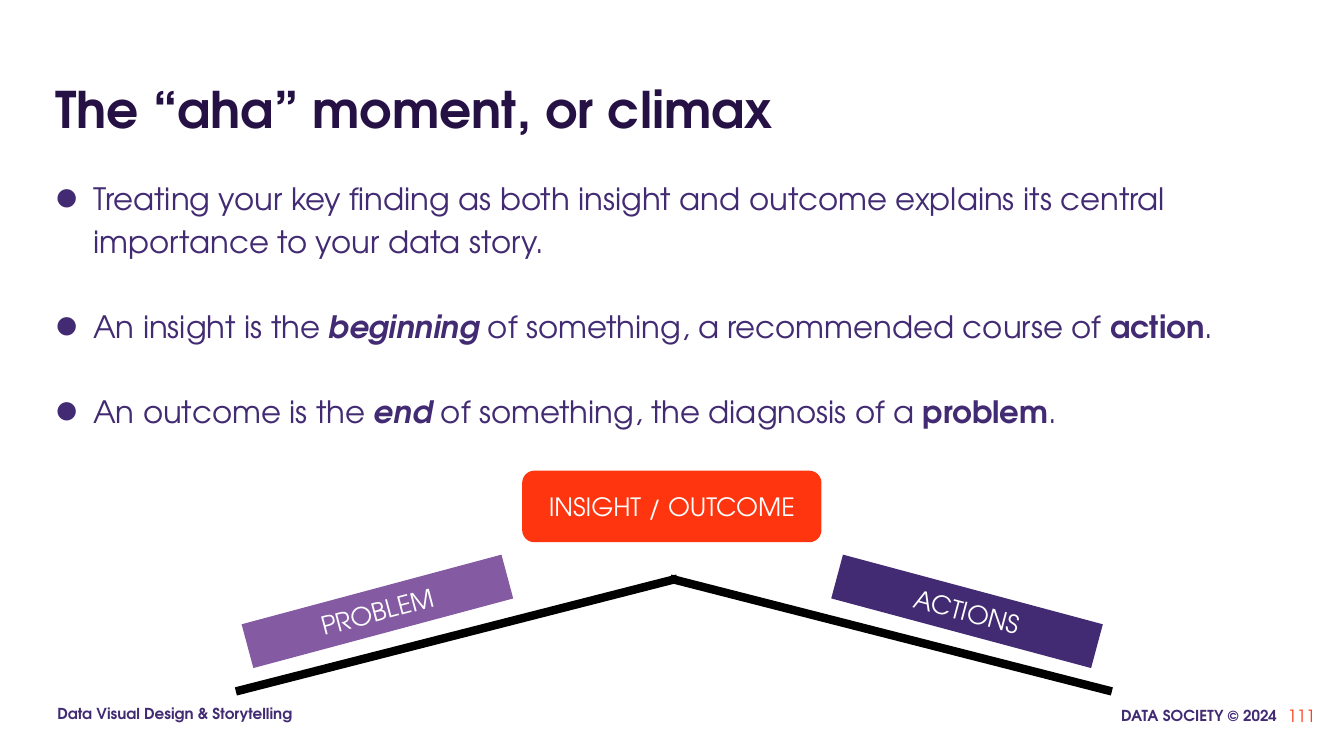
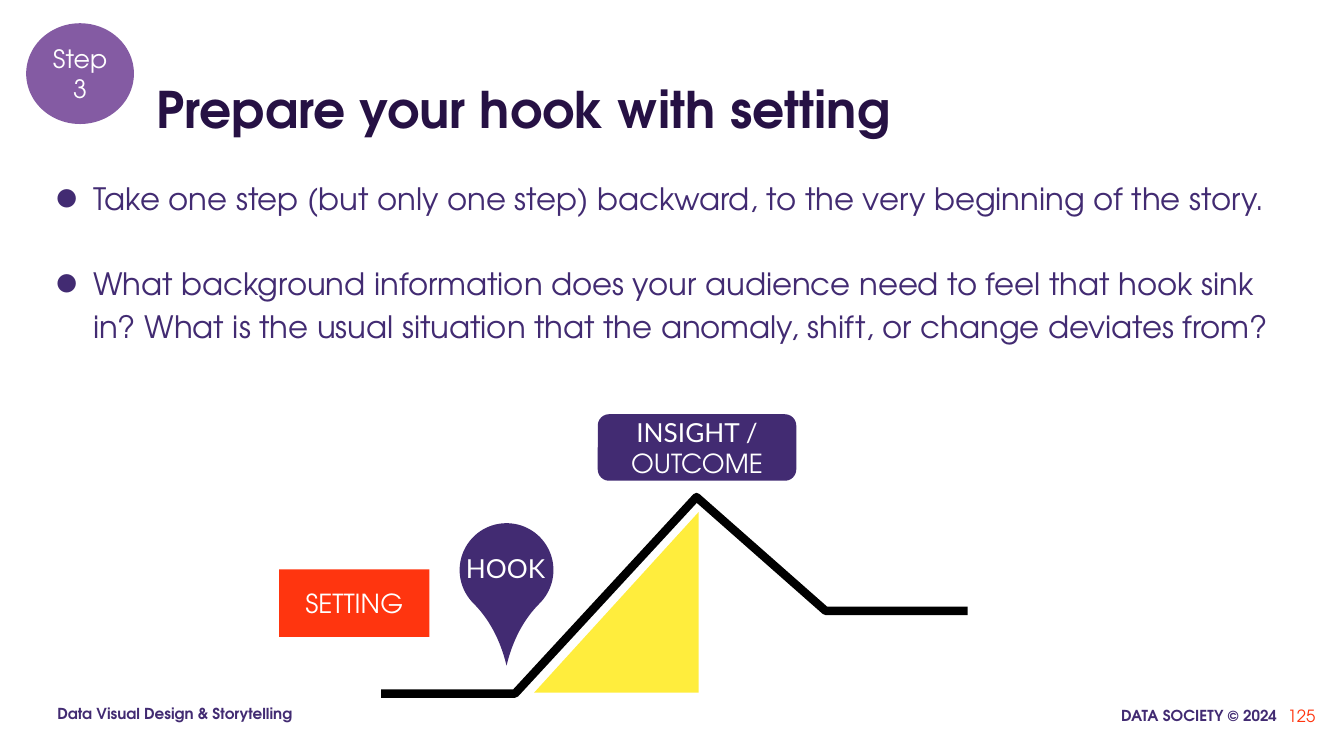
from lxml.etree import SubElement
from pptx import Presentation
from pptx.dml.color import RGBColor
from pptx.enum.shapes import MSO_CONNECTOR, MSO_SHAPE
from pptx.enum.text import MSO_ANCHOR, MSO_AUTO_SIZE, PP_ALIGN
from pptx.oxml.ns import qn
from pptx.util import Pt

FONT = "TeX Gyre Adventor"
ALT_FONT = "Lato"
INK = "261144"
INDIGO = "422B72"
VIOLET = "845BA3"
RED = "FF350F"
YELLOW = "FFED3D"
WHITE = "FFFFFF"
BLACK = "000000"


def rgb(value):
    return RGBColor.from_string(value)


def add_run(p, text, size=18, color=WHITE, bold=False, italic=False, font=FONT):
    r = p.add_run()
    r.text = text
    r.font.name = font
    r.font.size = Pt(size)
    r.font.bold = bold
    r.font.italic = italic
    r.font.color.rgb = rgb(color)


def set_frame(tf, anchor=MSO_ANCHOR.TOP, inset=(7.2, 3.6)):
    tf.word_wrap = True
    tf.auto_size = MSO_AUTO_SIZE.NONE
    tf.vertical_anchor = anchor
    tf.margin_left = tf.margin_right = Pt(inset[0])
    tf.margin_top = tf.margin_bottom = Pt(inset[1])


class Deck:
    margin = 32.4
    width = 894.2
    label_inset = (9.4, 9.4)

    def __init__(self):
        self.prs = Presentation()
        self.prs.slide_width, self.prs.slide_height = Pt(960), Pt(540)

    def slide(self, title, number, indent=0):
        self.s = self.prs.slides.add_slide(self.prs.slide_layouts[5])
        sp = self.s.shapes.title
        sp.left, sp.top = Pt(self.margin + indent), Pt(41.8)
        sp.width, sp.height = Pt(self.width - indent), Pt(60.5)
        set_frame(sp.text_frame, MSO_ANCHOR.BOTTOM)
        p = sp.text_frame.paragraphs[0]
        p.alignment = PP_ALIGN.LEFT
        add_run(p, title, size=36, color=INK, bold=True)
        footer = dict(size=10.8, color=INDIGO, bold=True)
        self.text(761, 496.1, 159.8, 30.2, "DATA SOCIETY © 2024",
                  align=PP_ALIGN.RIGHT, inset=(8.6, 8.6), **footer)
        self.text(self.margin, 494.6, 197.3, 30.2, "Data Visual Design & Storytelling",
                  align=PP_ALIGN.LEFT, inset=(8.6, 8.6), **footer)
        self.text(889.2, 496.1, 57.6, 30.2, number, align=PP_ALIGN.RIGHT,
                  anchor=MSO_ANCHOR.MIDDLE, size=12, color=RED)

    def box(self, x, y, w, h):
        return self.s.shapes.add_textbox(Pt(x), Pt(y), Pt(w), Pt(h))

    def text(self, x, y, w, h, text, align=PP_ALIGN.CENTER,
             anchor=MSO_ANCHOR.TOP, inset=(7.2, 3.6), **fmt):
        tf = self.box(x, y, w, h).text_frame
        set_frame(tf, anchor, inset)
        p = tf.paragraphs[0]
        p.alignment = align
        add_run(p, text, **fmt)

    def bullets(self, *items):
        tf = self.box(self.margin, 121, self.width, 358.6).text_frame
        set_frame(tf)
        for i, runs in enumerate(items):
            p = tf.add_paragraph() if i else tf.paragraphs[0]
            pPr = p._p.get_or_add_pPr()
            pPr.set("marL", str(Pt(27)))
            pPr.set("indent", str(-Pt(27)))
            SubElement(SubElement(pPr, qn("a:buClr")), qn("a:srgbClr"), val=INDIGO)
            SubElement(pPr, qn("a:buFont"), typeface=FONT)
            SubElement(pPr, qn("a:buChar"), char="●")
            p.line_spacing = 1.15
            p.space_before = Pt(30.4 if i else 0)
            for text, fmt in runs:
                add_run(p, text, size=22, color=INDIGO, **fmt)

    def shape(self, kind, x, y, w, h, fill, runs=(), rotation=0, adj=None,
              flip=False, inset=label_inset, size=18):
        sp = self.s.shapes.add_shape(kind, Pt(x), Pt(y), Pt(w), Pt(h))
        sp.shadow.inherit = False
        sp.fill.solid()
        sp.fill.fore_color.rgb = rgb(fill)
        sp.line.fill.background()
        sp.rotation = rotation
        if adj is not None:
            sp.adjustments[0] = adj
        if flip:
            sp._element.spPr.find(qn("a:xfrm")).set("flipH", "1")
        set_frame(sp.text_frame, MSO_ANCHOR.MIDDLE, inset)
        p = sp.text_frame.paragraphs[0]
        p.alignment = PP_ALIGN.CENTER
        for text, fmt in runs:
            add_run(p, text, size=size, **fmt)

    def stroke(self, line):
        line.color.rgb = rgb(BLACK)
        line.width = Pt(6)

    def line(self, x1, y1, x2, y2):
        c = self.s.shapes.add_connector(MSO_CONNECTOR.STRAIGHT, Pt(x1), Pt(y1), Pt(x2), Pt(y2))
        self.stroke(c.line)
        SubElement(c._element.spPr, qn("a:effectLst"))

    def polyline(self, *points):
        pts = [(Pt(x), Pt(y)) for x, y in points]
        fb = self.s.shapes.build_freeform(*pts[0])
        fb.add_line_segments(pts[1:], close=False)
        sp = fb.convert_to_shape()
        sp.shadow.inherit = False
        sp.fill.background()
        self.stroke(sp.line)


def climax(d):
    d.slide("The “aha” moment, or climax", "111")
    strong, stress = dict(bold=True), dict(bold=True, italic=True)
    d.bullets(
        [("Treating your key finding as both insight and outcome explains its "
          "central importance to your data story.", {})],
        [("An insight is the ", {}), ("beginning", stress),
         (" of something, a recommended course of ", {}), ("action", strong), (".", {})],
        [("An outcome is the ", {}), ("end", stress),
         (" of something, the diagnosis of a ", {}), ("problem", strong), (".", {})],
    )
    d.line(168.5, 493.9, 483.8, 413.3)
    d.line(794.2, 493.9, 478.8, 413.3)
    d.shape(MSO_SHAPE.ROUNDED_RECTANGLE, 373, 336.2, 213.8, 51.1, RED,
            [("INSIGHT / OUTCOME", {})], adj=0.17)
    for x, fill, label, angle in ((173.5, VIOLET, "PROBLEM", 345),
                                  (594.7, INDIGO, "ACTIONS", 15)):
        d.shape(MSO_SHAPE.RECTANGLE, x, 420.5, 192.2, 32.4, fill, [(label, {})], angle)


def hook(d):
    d.slide("Prepare your hook with setting", "125", indent=72)
    d.bullets(
        [("Take one step (but only one step) backward, to the very beginning "
          "of the story.", {})],
        [("What background information does your audience need to feel that hook "
          "sink in? What is the usual situation that the anomaly, shift, or change "
          "deviates from?", {})],
    )
    d.shape(MSO_SHAPE.OVAL, 18.7, 16.6, 77, 72, VIOLET, [("Step 3", {})], inset=(7.2, 3.6))
    d.polyline((272.2, 495.4), (367.9, 495.4), (497.5, 355), (589.7, 436.3), (691.2, 436.3))
    d.shape(MSO_SHAPE.ROUNDED_RECTANGLE, 427, 295.9, 141.8, 47.5, INDIGO,
            [("INSIGHT / ", dict(font=ALT_FONT)), ("OUTCOME", {})], adj=0.17, size=18.7)
    d.shape(MSO_SHAPE.RIGHT_TRIANGLE, 381.6, 365.8, 117.4, 128.9, YELLOW, flip=True)
    d.shape(MSO_SHAPE.TEAR, 328.3, 373.7, 67, 67, INDIGO, rotation=135, adj=1.44)
    d.text(319, 385.2, 84.2, 28.8, "HOOK", inset=d.label_inset, size=18.7, font=ALT_FONT)
    d.shape(MSO_SHAPE.RECTANGLE, 199.4, 406.8, 107.3, 48.2, RED, [("SETTING", {})], size=18.7)


def main():
    d = Deck()
    climax(d)
    hook(d)
    d.prs.save("out.pptx")


if __name__ == "__main__":
    main()
